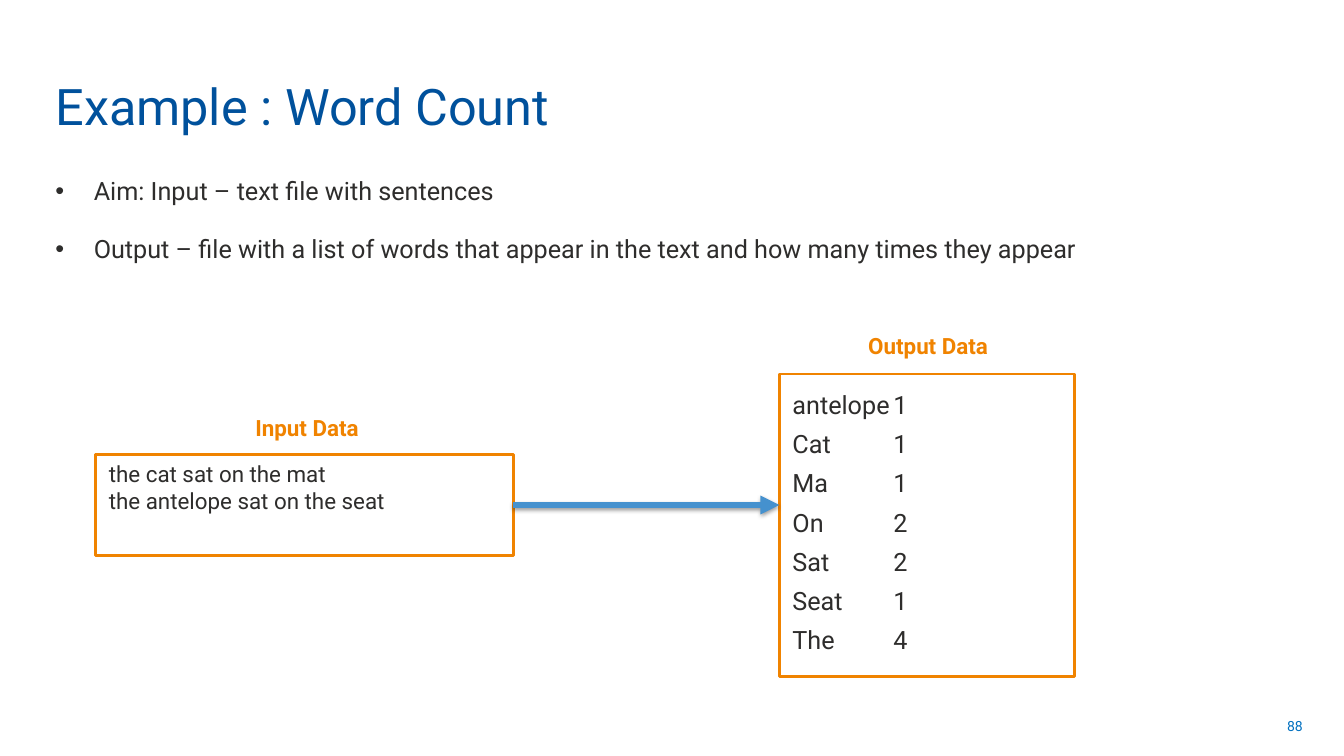
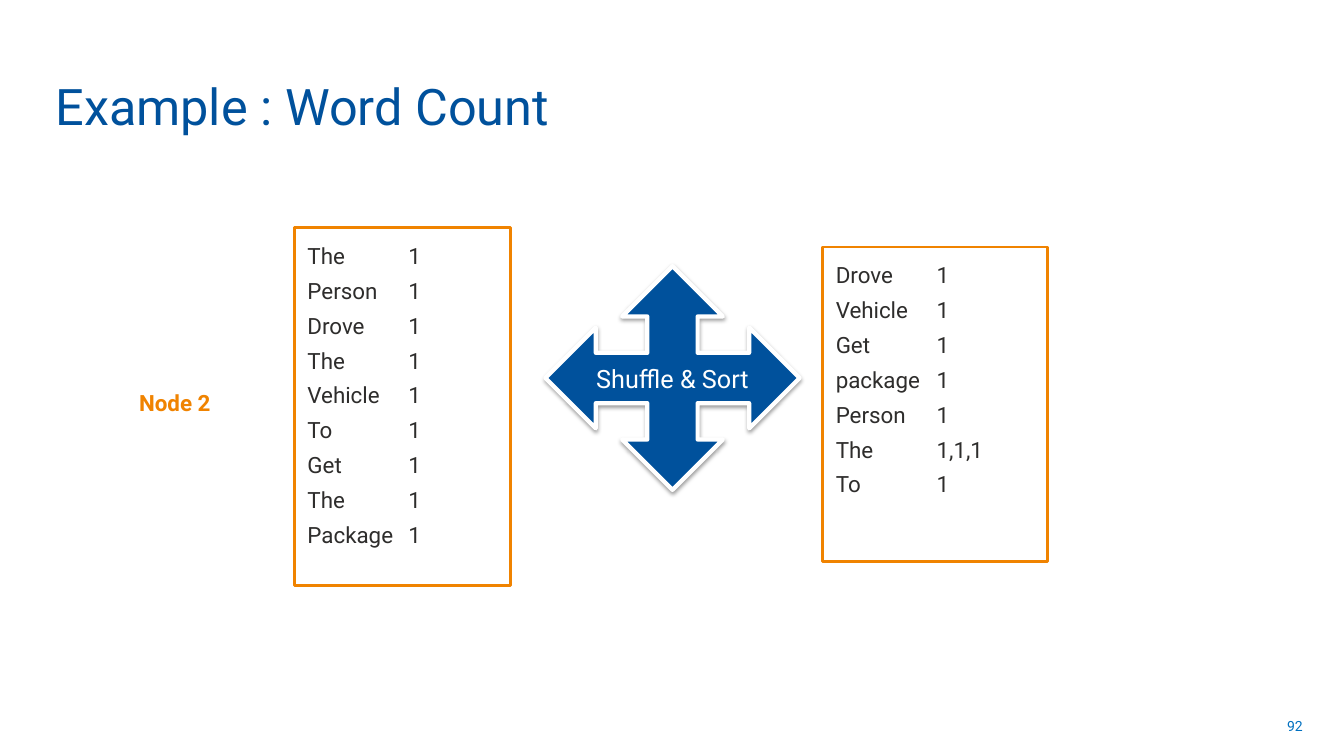
from lxml.etree import SubElement
from pptx import Presentation
from pptx.dml.color import RGBColor
from pptx.enum.shapes import MSO_CONNECTOR as Connector, MSO_SHAPE as Shape
from pptx.enum.text import MSO_ANCHOR as Anchor, MSO_AUTO_SIZE as AutoSize, PP_ALIGN as Align
from pptx.oxml.ns import qn
from pptx.util import Pt

EMU_PER_PX = 9144
FONT = "Roboto"
WHITE = "FFFFFF"
BLUE = "00519C"
LIGHT_BLUE = "4591CE"
NUMBER_BLUE = "0070C0"
ORANGE = "F08300"
INK = "2E2D2C"
TITLE_LAYOUT = 5
BODY_LAYOUT = 1
TITLE = "Example : Word Count"
LEFT, RIGHT = 1, 3
TAB_STOP = 100
BULLET_INDENT = 38


def px(length):
    return length * EMU_PER_PX


def box(left, top, width, height):
    return px(left), px(top), px(width), px(height)


def color(value):
    return RGBColor.from_string(value)


def add_xml(parent, tag, **attributes):
    return SubElement(parent, qn(tag), {name: str(value) for name, value in attributes.items()})


def add_tab_stop(paragraph):
    tabs = add_xml(paragraph._p.get_or_add_pPr(), "a:tabLst")
    add_xml(tabs, "a:tab", pos=px(TAB_STOP), algn="l")


def add_bullet(paragraph):
    properties = paragraph._p.get_or_add_pPr()
    properties.set("marL", str(px(BULLET_INDENT)))
    properties.set("indent", str(-px(BULLET_INDENT)))
    add_xml(add_xml(properties, "a:buClr"), "a:srgbClr", val=INK)
    add_xml(properties, "a:buFont", typeface="Arial")
    add_xml(properties, "a:buChar", char="•")


def write(frame, lines, size, text_color, align=Align.LEFT, anchor=Anchor.TOP,
          bold=False, spacing=None, decorate=None):
    frame.word_wrap = True
    frame.auto_size = AutoSize.NONE
    frame.vertical_anchor = anchor
    frame.text = "\n".join(lines)
    for paragraph in frame.paragraphs:
        paragraph.alignment = align
        if spacing:
            paragraph.line_spacing = spacing
        if decorate:
            decorate(paragraph)
        font = paragraph.font
        font.name, font.size, font.bold = FONT, Pt(size), bold
        font.color.rgb = color(text_color)


def set_insets(frame):
    frame.margin_left = frame.margin_right = px(13)
    frame.margin_top = frame.margin_bottom = px(6)


def add_shadow(shape):
    effects = shape.element.spPr.find(qn("a:effectLst"))
    if effects is None:
        effects = add_xml(shape.element.spPr, "a:effectLst")
    shadow = add_xml(effects, "a:outerShdw", blurRad=Pt(3.1), dist=Pt(1.6),
                     dir=5400000, rotWithShape=0)
    add_xml(add_xml(shadow, "a:srgbClr", val="000000"), "a:alpha", val=38000)


def add_label(slide, text, place, align=Align.CENTER):
    label = slide.shapes.add_textbox(*box(*place))
    set_insets(label.text_frame)
    write(label.text_frame, [text], 16, ORANGE, align, bold=True)


def add_filled_shape(slide, kind, place, fill, line, line_width):
    shape = slide.shapes.add_shape(kind, *box(*place))
    shape.shadow.inherit = False
    shape.fill.solid()
    shape.fill.fore_color.rgb = color(fill)
    shape.line.color.rgb = color(line)
    shape.line.width = Pt(line_width)
    set_insets(shape.text_frame)
    return shape


def add_data_box(slide, place, lines, size=16):
    shape = add_filled_shape(slide, Shape.RECTANGLE, place, WHITE, ORANGE, 2)
    write(shape.text_frame, lines, size, INK)
    return shape


def add_count_box(slide, place, counts, size=16):
    shape = add_filled_shape(slide, Shape.RECTANGLE, place, WHITE, ORANGE, 2)
    lines = [f"{word}\t{count}" for word, count in counts]
    write(shape.text_frame, lines, size, INK, spacing=1.3, decorate=add_tab_stop)


def add_shuffle_arrow(slide, place, text):
    shape = add_filled_shape(slide, Shape.QUAD_ARROW, place, BLUE, WHITE, 3)
    add_shadow(shape)
    write(shape.text_frame, [text], 18, WHITE, Align.CENTER, Anchor.MIDDLE)


def add_flow_arrow(slide, source, end_x):
    middle = source.top + source.height // 2
    arrow = slide.shapes.add_connector(
        Connector.STRAIGHT, source.left + source.width, middle, px(end_x), middle)
    arrow.begin_connect(source, RIGHT)
    arrow.line.color.rgb = color(LIGHT_BLUE)
    arrow.line.width = Pt(4.5)
    add_xml(arrow.element.spPr.find(qn("a:ln")), "a:tailEnd", type="triangle")
    add_shadow(arrow)


def place_placeholder(placeholder, place):
    placeholder.left, placeholder.top, placeholder.width, placeholder.height = box(*place)


def add_slide(presentation, layout, number):
    slide = presentation.slides.add_slide(presentation.slide_layouts[layout])
    title = slide.shapes.title
    place_placeholder(title, (45, 14, 998, 126))
    write(title.text_frame, [TITLE], 36, BLUE, anchor=Anchor.BOTTOM)
    page_number = slide.shapes.add_textbox(*box(991, 700, 311, 40))
    write(page_number.text_frame, [str(number)], 10, NUMBER_BLUE, Align.RIGHT, Anchor.MIDDLE)
    return slide


def fill_body(slide, lines):
    body = slide.placeholders[1]
    place_placeholder(body, (45, 169, 1247, 127))
    write(body.text_frame, lines, 18, INK, decorate=add_bullet)
    for index, paragraph in enumerate(body.text_frame.paragraphs):
        paragraph.space_before = Pt(10 if index else 0)
        paragraph.space_after = Pt(10)


def build_aim_slide(presentation):
    slide = add_slide(presentation, BODY_LAYOUT, 88)
    fill_body(slide, [
        "Aim: Input – text file with sentences",
        "Output – file with a list of words that appear in the text and how many times they appear",
    ])
    input_box = add_data_box(slide, (95, 451, 414, 100), [
        "the cat sat on the mat", "the antelope sat on the seat"])
    add_count_box(slide, (773, 371, 293, 300), [
        ("antelope", 1), ("Cat", 1), ("Ma", 1), ("On", 2),
        ("Sat", 2), ("Seat", 1), ("The", 4)], size=18)
    add_label(slide, "Input Data", (100, 405, 409, 40))
    add_label(slide, "Output Data", (774, 324, 293, 40))
    add_flow_arrow(slide, input_box, 773)


def build_shuffle_slide(presentation):
    slide = add_slide(presentation, TITLE_LAYOUT, 92)
    mapped_words = ["The", "Person", "Drove", "The", "Vehicle", "To", "Get", "The", "Package"]
    add_count_box(slide, (292, 226, 214, 355), [(word, 1) for word in mapped_words])
    add_shuffle_arrow(slide, (541, 264, 252, 222), "Shuffle & Sort")
    add_count_box(slide, (816, 245, 223, 312), [
        ("Drove", 1), ("Vehicle", 1), ("Get", 1), ("package", 1),
        ("Person", 1), ("The", "1,1,1"), ("To", 1)])
    add_label(slide, "Node 2", (125, 380, 153, 40), Align.LEFT)


def main():
    presentation = Presentation()
    presentation.slide_width, presentation.slide_height = px(1333), px(750)
    build_aim_slide(presentation)
    build_shuffle_slide(presentation)
    presentation.save("out.pptx")


if __name__ == "__main__":
    main()
